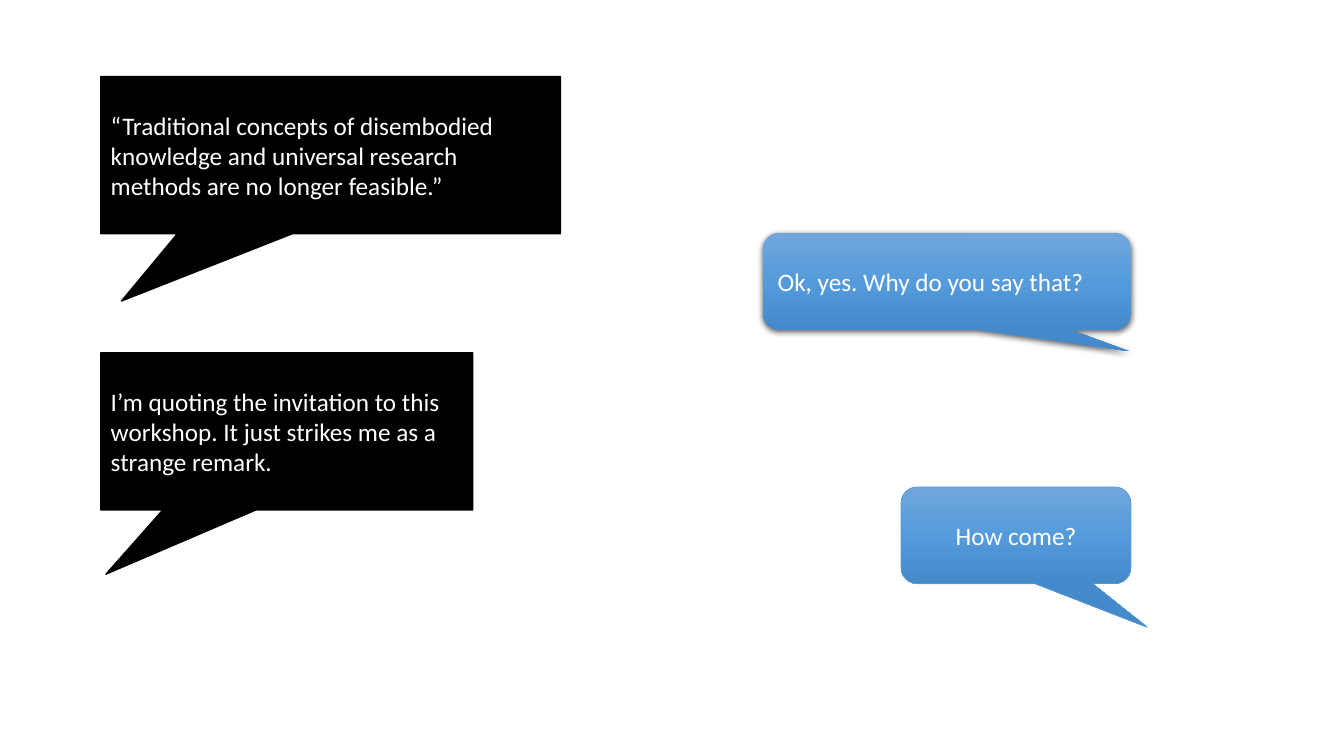
from copy import deepcopy

from lxml.etree import SubElement
from pptx import Presentation
from pptx.dml.color import RGBColor
from pptx.enum.shapes import MSO_SHAPE
from pptx.enum.text import MSO_ANCHOR, PP_ALIGN
from pptx.oxml.ns import qn
from pptx.util import Pt

BLACK = RGBColor(0x00, 0x00, 0x00)
WHITE = RGBColor(0xFF, 0xFF, 0xFF)
EDGE = RGBColor(0x5B, 0x9B, 0xD5)
SHADES = [RGBColor(0x71, 0xA6, 0xDB), RGBColor(0x55, 0x9B, 0xDB),
          RGBColor(0x44, 0x8A, 0xCA)]

LEFT, RIGHT = 72, 807.8  # outer edges of the two speakers' bubbles


class Chat:
    font = "Calibri"
    size = 18

    def __init__(self, slide):
        self.slide = slide

    def bubble(self, kind, box, tail, text, align):
        shape = self.slide.shapes.add_shape(kind, *map(Pt, box))
        shape.shadow.inherit = False
        shape.adjustments[0], shape.adjustments[1] = tail
        frame = shape.text_frame
        frame.text = text
        frame.word_wrap = True
        frame.vertical_anchor = MSO_ANCHOR.MIDDLE
        line = frame.paragraphs[0]
        line.alignment = align
        font = line.runs[0].font
        font.name, font.size = self.font, Pt(self.size)
        font.color.rgb = WHITE
        return shape

    def quote(self, top, width, tail, text):
        """Add a black square bubble at the left edge."""
        shape = self.bubble(MSO_SHAPE.RECTANGULAR_CALLOUT,
                            (LEFT, top, width, 112.3), tail, text, PP_ALIGN.LEFT)
        shape.fill.solid()
        shape.fill.fore_color.rgb = BLACK
        shape.line.color.rgb = BLACK
        shape.line.width = Pt(1)

    def reply(self, top, width, tail, text, align):
        """Add a blue round bubble that ends at the right edge."""
        shape = self.bubble(MSO_SHAPE.ROUNDED_RECTANGULAR_CALLOUT,
                            (RIGHT - width, top, width, 69.1), tail, text, align)
        self.shade(shape)
        return shape

    def shade(self, shape):
        """Fill from top to bottom with evenly spaced shades."""
        fill = shape.fill
        fill.gradient()
        fill.gradient_angle = 270
        stops = shape.element.spPr.find(qn("a:gradFill")).find(qn("a:gsLst"))
        stops.insert(1, deepcopy(stops[0]))
        for i, (stop, shade) in enumerate(zip(fill.gradient_stops, SHADES)):
            stop.position = i / (len(SHADES) - 1)
            stop.color.rgb = shade

    def edge(self, shape):
        shape.line.color.rgb = EDGE
        shape.line.width = Pt(0.5)

    def lift(self, shape):
        """Drop the outline and cast a soft shadow downwards."""
        shape.line.fill.background()
        effects = shape.element.spPr.find(qn("a:effectLst"))
        cast = SubElement(effects, qn("a:outerShdw"), blurRad=str(Pt(4.5)),
                          dist=str(Pt(1.5)), dir="5400000", algn="ctr",
                          rotWithShape="0")
        color = SubElement(cast, qn("a:srgbClr"), val=str(BLACK))
        SubElement(color, qn("a:alpha"), val="63000")


def main():
    deck = Presentation()
    deck.slide_width, deck.slide_height = Pt(960), Pt(540)
    chat = Chat(deck.slides.add_slide(deck.slide_layouts[6]))

    chat.lift(chat.reply(166.3, 262.8, (0.494, 0.723),
                         "Ok, yes. Why do you say that?", PP_ALIGN.LEFT))
    chat.quote(54.7, 328.3, (-0.455, 0.928),
               "“Traditional concepts of disembodied knowledge and universal "
               "research methods are no longer feasible.”")
    chat.quote(252, 265.7, (-0.486, 0.908),
               "I’m quoting the invitation to this workshop. "
               "It just strikes me as a strange remark.")
    chat.edge(chat.reply(347.8, 164.2, (0.572, 0.952),
                         "How come?", PP_ALIGN.CENTER))
    deck.save("out.pptx")


if __name__ == "__main__":
    main()
